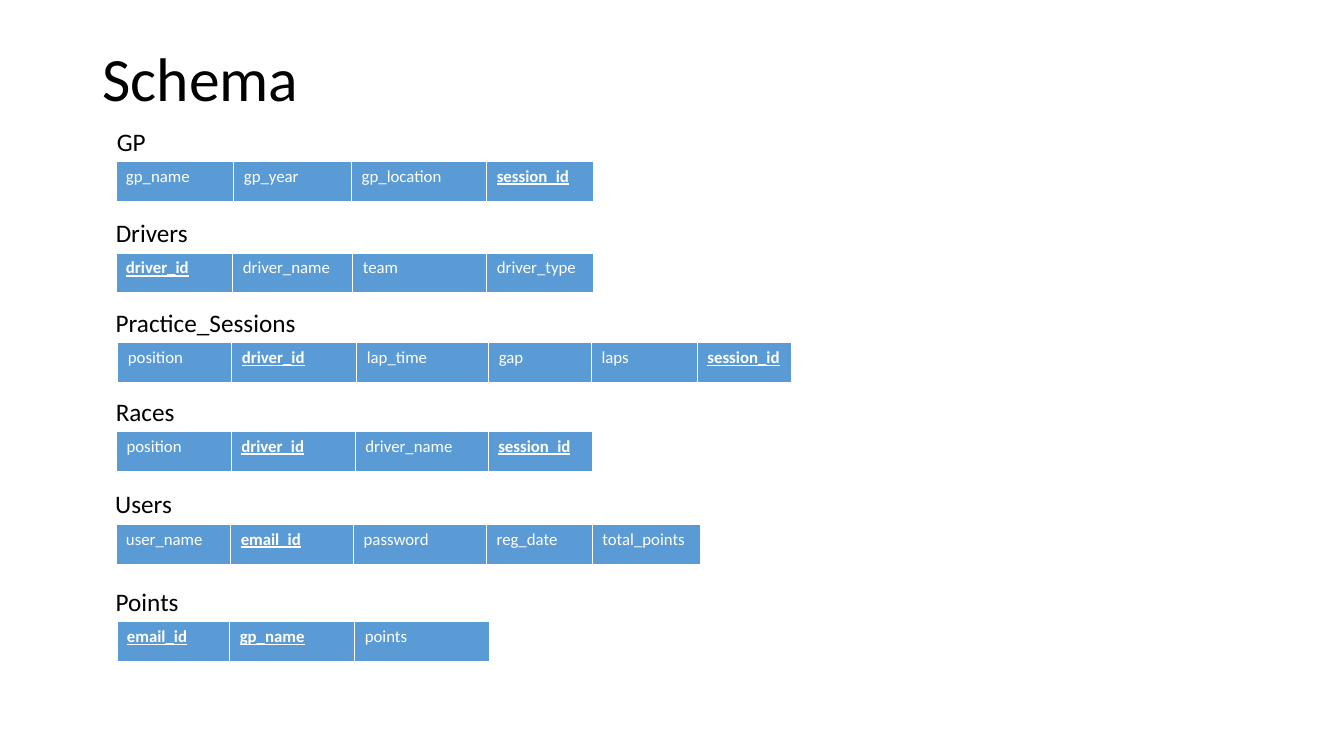
from lxml import etree
from pptx import Presentation
from pptx.dml.color import RGBColor
from pptx.enum.text import MSO_ANCHOR, MSO_AUTO_SIZE, PP_ALIGN
from pptx.oxml.ns import qn
from pptx.util import Pt

LEFT, JUSTIFY = PP_ALIGN.LEFT, PP_ALIGN.JUSTIFY
MIDDLE = MSO_ANCHOR.MIDDLE
FIT_SHAPE = MSO_AUTO_SIZE.SHAPE_TO_FIT_TEXT
TITLE_ONLY = 5
FONT = "Calibri"
COLORS = {"text": "000000", "cell": "5B9BD5", "light": "FFFFFF"}
BORDERS = {"lnL": 1, "lnR": 1, "lnT": 1, "lnB": 3}
ROW_HEIGHT = 29.5
LABEL_HEIGHT = 28.8

# Name, label left and width, table left and top, then field and width pairs.
# A field that starts with * is a key.
RELATIONS = [
    ("GP", 76.3, 35.3, 82.8, 115.2,
     [("gp_name", 84.2), ("gp_year", 84.2), ("gp_location", 96.5), ("*session_id", 76.3)]),
    ("Drivers", 75.6, 66.2, 82.8, 180.7,
     [("*driver_id", 83.5), ("driver_name", 85.7), ("team", 95.8), ("driver_type", 76.3)]),
    ("Practice_Sessions", 75.6, 144, 84.2, 244.8,
     [("position", 81.4), ("*driver_id", 89.3), ("lap_time", 94.3), ("gap", 73.4),
      ("laps", 75.6), ("*session_id", 67)]),
    ("Races", 75.6, 56.9, 83.2, 308.2,
     [("position", 82), ("*driver_id", 88.6), ("driver_name", 95), ("*session_id", 74.9)]),
    ("Users", 75.2, 55.4, 82.8, 374.4,
     [("user_name", 82), ("*email_id", 87.8), ("password", 95), ("reg_date", 75.6),
      ("total_points", 77)]),
    ("Points", 75.6, 59.8, 83.5, 444,
     [("*email_id", 80.6), ("*gp_name", 89.3), ("points", 96.5)]),
]


def write(frame, text, size, color, align, key=False):
    """Put one formatted run in a text frame and return its paragraph."""
    para = frame.paragraphs[0]
    para.alignment = align
    span = para.add_run()
    span.text = text
    span.font.name = FONT
    span.font.size = Pt(size)
    span.font.bold = key
    span.font.underline = key
    span.font.color.rgb = RGBColor.from_string(COLORS[color])
    return para


def add_borders(cell):
    """Draw the light lines around a table cell."""
    properties = cell._tc.get_or_add_tcPr()
    for side, width in BORDERS.items():
        line = etree.SubElement(properties, qn(f"a:{side}"), w=str(Pt(width)))
        fill = etree.SubElement(line, qn("a:solidFill"))
        etree.SubElement(fill, qn("a:srgbClr"), val=COLORS["light"])


deck = Presentation()
deck.slide_width, deck.slide_height = Pt(960), Pt(540)
page = deck.slides.add_slide(deck.slide_layouts[TITLE_ONLY])

title = page.shapes.title
title.left, title.top, title.width, title.height = Pt(66), Pt(5.8), Pt(828), Pt(104.4)
title.text_frame.vertical_anchor = MIDDLE
write(title.text_frame, "Schema", 44, "text", LEFT).line_spacing = 0.9

for name, label_left, label_width, left, top, fields in RELATIONS:
    label = page.shapes.add_textbox(
        Pt(label_left), Pt(top - LABEL_HEIGHT), Pt(label_width), Pt(LABEL_HEIGHT))
    label.text_frame.word_wrap = False
    label.text_frame.auto_size = FIT_SHAPE
    write(label.text_frame, name, 18, "text", LEFT)

    table_width = sum(width for _, width in fields)
    table = page.shapes.add_table(
        1, len(fields), Pt(left), Pt(top), Pt(table_width), Pt(ROW_HEIGHT)).table
    for column, (field, width) in enumerate(fields):
        table.columns[column].width = Pt(width)
        cell = table.cell(0, column)
        add_borders(cell)
        cell.fill.solid()
        cell.fill.fore_color.rgb = RGBColor.from_string(COLORS["cell"])
        write(cell.text_frame, field.lstrip("*"), 12, "light", JUSTIFY, field.startswith("*"))

deck.save("out.pptx")
